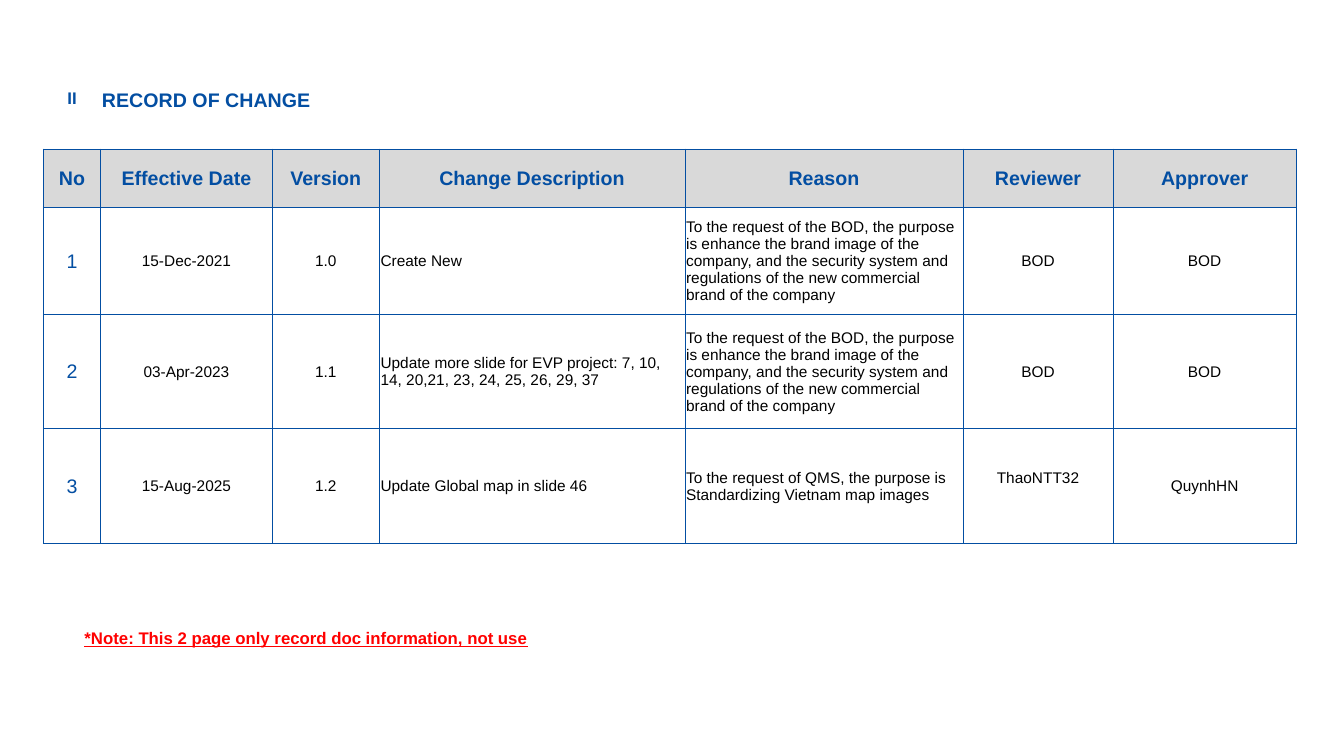
from dataclasses import dataclass

from lxml import etree
from pptx import Presentation
from pptx.dml.color import RGBColor
from pptx.enum.text import MSO_ANCHOR, PP_ALIGN
from pptx.oxml.ns import qn
from pptx.table import Table, _Cell
from pptx.text.text import _Paragraph
from pptx.util import Cm, Pt

CENTER, LEFT = PP_ALIGN.CENTER, PP_ALIGN.LEFT
MIDDLE, TOP = MSO_ANCHOR.MIDDLE, MSO_ANCHOR.TOP
COLORS = {
    "brand": "034EA2",
    "header": "D9D9D9",
    "white": "FFFFFF",
    "black": "000000",
    "note": "FF0000",
}
FONT = "Arial"
BORDER_WIDTH = Pt(0.5)
CELL_MARGIN = Cm(0.03)
BLANK_LAYOUT = 6


@dataclass(frozen=True)
class TextStyle:
    size: float
    color: str
    bold: bool = False
    underline: bool = False
    align: PP_ALIGN = CENTER


@dataclass(frozen=True)
class Column:
    heading: str
    width: float
    style: TextStyle


@dataclass(frozen=True)
class Change:
    height: float
    values: tuple[str, ...]


SECTION_NUMBER = TextStyle(12, "brand", bold=True)
SECTION_TITLE = TextStyle(14, "brand", bold=True, align=LEFT)
HEADING = TextStyle(14, "brand", bold=True)
NUMBER = TextStyle(14, "brand")
DETAIL = TextStyle(11, "black")
DESCRIPTION = TextStyle(11, "black", align=LEFT)
NOTE = TextStyle(12, "note", bold=True, underline=True, align=LEFT)

COLUMNS = [
    Column("No", 1.45, NUMBER),
    Column("Effective Date", 4.32, DETAIL),
    Column("Version", 2.7, DETAIL),
    Column("Change Description", 7.7, DESCRIPTION),
    Column("Reason", 7.01, DESCRIPTION),
    Column("Reviewer", 3.78, DETAIL),
    Column("Approver", 4.62, DETAIL),
]
BOD_REASON = (
    "To the request of the BOD, the purpose is enhance the brand image of the "
    "company, and the security system and regulations of the new commercial "
    "brand of the company"
)
CHANGES = [
    Change(2.7, ("1", "15-Dec-2021", "1.0", "Create New", BOD_REASON, "BOD", "BOD")),
    Change(2.88, ("2", "03-Apr-2023", "1.1",
                  "Update more slide for EVP project: 7, 10, 14, 20,21, 23, 24, 25, 26, 29, 37",
                  BOD_REASON, "BOD", "BOD")),
    Change(2.88, ("3", "15-Aug-2025", "1.2", "Update Global map in slide 46",
                  "To the request of QMS, the purpose is Standardizing Vietnam map images",
                  "ThaoNTT32", "QuynhHN")),
]
SECTION_HEIGHTS = [0.99, 1.02, 0.51]
TITLE_ROW = 1
HEADER_ROW = len(SECTION_HEIGHTS)
HEADER_HEIGHT = 1.47
REVIEWER_COLUMN = 5


def rgb(name: str) -> RGBColor:
    return RGBColor.from_string(COLORS[name])


def add_text(paragraph: _Paragraph, text: str, style: TextStyle) -> None:
    paragraph.alignment = style.align
    run = paragraph.add_run()
    run.text = text
    run.font.name = FONT
    run.font.size = Pt(style.size)
    run.font.bold = style.bold
    run.font.underline = style.underline
    run.font.color.rgb = rgb(style.color)


def set_borders(cell: _Cell, visible_sides: str) -> None:
    """Draw the sides named by the letters L, R, T and B; hide the others."""
    properties = cell._tc.get_or_add_tcPr()
    for side in "LRTB":
        line = etree.SubElement(properties, qn(f"a:ln{side}"), w=str(BORDER_WIDTH))
        if side in visible_sides:
            fill = etree.SubElement(line, qn("a:solidFill"))
            etree.SubElement(fill, qn("a:srgbClr"), val=COLORS["brand"])
        else:
            etree.SubElement(line, qn("a:noFill"))


def format_cell(cell: _Cell, fill: str, borders: str, anchor: MSO_ANCHOR) -> None:
    set_borders(cell, borders)
    cell.fill.solid()
    cell.fill.fore_color.rgb = rgb(fill)
    cell.margin_left = cell.margin_right = cell.margin_top = CELL_MARGIN
    cell.margin_bottom = 0
    cell.vertical_anchor = anchor


def fill_section_rows(table: Table) -> None:
    for row in range(HEADER_ROW):
        borders = "B" if row == HEADER_ROW - 1 else ""
        for column in range(len(COLUMNS)):
            cell = table.cell(row, column)
            format_cell(cell, "white", borders, TOP)
            if row != TITLE_ROW or column > 1:
                # A small end mark keeps empty rows from growing
                etree.SubElement(cell.text_frame.paragraphs[0]._p,
                                 qn("a:endParaRPr"), sz="800")
    table.cell(TITLE_ROW, 1).merge(table.cell(TITLE_ROW, 2))
    for column, text, style in [(0, "II", SECTION_NUMBER),
                                (1, "RECORD OF CHANGE", SECTION_TITLE)]:
        add_text(table.cell(TITLE_ROW, column).text_frame.paragraphs[0], text, style)


def fill_change_rows(table: Table) -> None:
    for index, column in enumerate(COLUMNS):
        texts = [column.heading] + [change.values[index] for change in CHANGES]
        for row, text in enumerate(texts, HEADER_ROW):
            is_header = row == HEADER_ROW
            cell = table.cell(row, index)
            format_cell(cell, "header" if is_header else "white", "LRTB", MIDDLE)
            add_text(cell.text_frame.paragraphs[0], text,
                     HEADING if is_header else column.style)


def main() -> None:
    presentation = Presentation()
    presentation.slide_width, presentation.slide_height = Cm(33.87), Cm(19.05)
    slide = presentation.slides.add_slide(presentation.slide_layouts[BLANK_LAYOUT])

    heights = SECTION_HEIGHTS + [HEADER_HEIGHT] + [change.height for change in CHANGES]
    change_record = slide.shapes.add_table(
        len(heights), len(COLUMNS), Cm(1.09), Cm(1.23),
        Cm(sum(column.width for column in COLUMNS)), Cm(sum(heights))).table
    change_record.first_row = change_record.horz_banding = False
    for grid_column, column in zip(change_record.columns, COLUMNS):
        grid_column.width = Cm(column.width)
    for grid_row, height in zip(change_record.rows, heights):
        grid_row.height = Cm(height)
    fill_section_rows(change_record)
    fill_change_rows(change_record)
    # The last reviewer sits half a line above the middle of the row
    change_record.cell(len(heights) - 1, REVIEWER_COLUMN).margin_bottom = Cm(0.43)

    note = slide.shapes.add_textbox(Cm(1.88), Cm(15.7), Cm(24.71), Cm(1.55)).text_frame
    note.word_wrap = True
    add_text(note.paragraphs[0],
             "*Note: This 2 page only record doc information, not use", NOTE)

    presentation.save("out.pptx")


if __name__ == "__main__":
    main()
